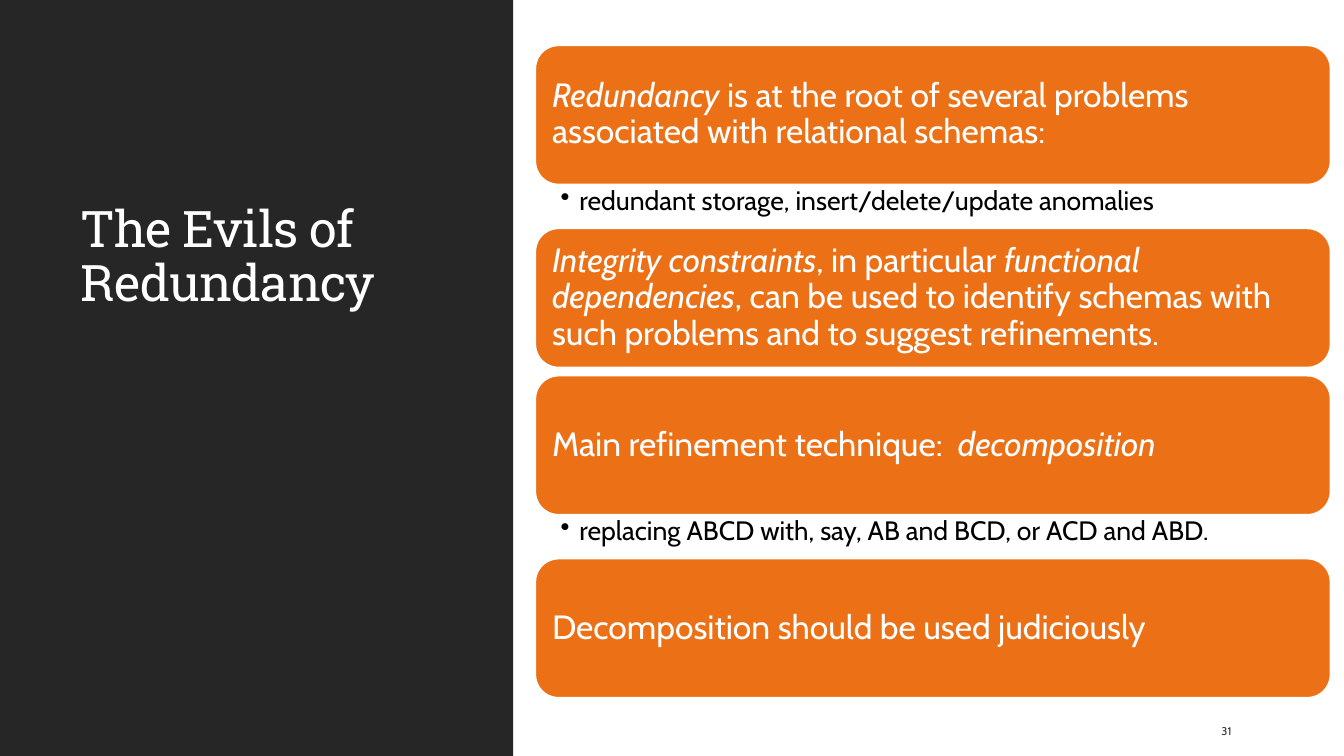
"""Build the slide on the evils of redundancy."""
from lxml import etree
from pptx import Presentation
from pptx.dml.color import RGBColor
from pptx.enum.shapes import MSO_SHAPE as Preset
from pptx.enum.text import MSO_ANCHOR as Anchor, PP_ALIGN as Align
from pptx.oxml.ns import qn
from pptx.util import Pt

WHITE = RGBColor(0xFF, 0xFF, 0xFF)
BLACK = RGBColor(0x00, 0x00, 0x00)
CHARCOAL = RGBColor(0x26, 0x26, 0x26)
ORANGE = RGBColor(0xEC, 0x70, 0x16)
BROWN = RGBColor(0x39, 0x30, 0x2A)

HEADING_FONT = "Roboto Slab"
BODY_FONT = "Cabin"

CARD_LEFT, CARD_TOP = 382.4, 32.4
CARD_WIDTH, CARD_HEIGHT = 568, 99.4
NOTE_HEIGHT, CARD_GAP = 31.3, 5.8

POINTS = [
    (
        [
            ("Redundancy", True),
            (" is at the root of several problems associated with relational schemas:", False),
        ],
        "redundant storage, insert/delete/update anomalies",
    ),
    (
        [
            ("Integrity constraints", True),
            (", in particular ", False),
            ("functional dependencies", True),
            (", can be used to identify schemas with such problems and to suggest refinements.", False),
        ],
        None,
    ),
    (
        [("Main refinement technique:  ", False), ("decomposition", True)],
        "replacing ABCD with, say, AB and BCD, or ACD and ABD.",
    ),
    ([("Decomposition should be used judiciously", False)], None),
]


def set_frame(frame, anchor, insets):
    """Wrap a text frame, anchor it and set its left, top, right and bottom insets."""
    frame.word_wrap = True
    frame.vertical_anchor = anchor
    frame.margin_left, frame.margin_top, frame.margin_right, frame.margin_bottom = map(Pt, insets)


def style(paragraph, font_name, size, color, spacing=0.9):
    """Left-align a paragraph and set its line spacing and font."""
    paragraph.alignment = Align.LEFT
    paragraph.line_spacing = spacing
    paragraph.font.name = font_name
    paragraph.font.size = Pt(size)
    paragraph.font.color.rgb = color


def add_text(slide, box, anchor, insets):
    """Add a text box and return its first paragraph."""
    frame = slide.shapes.add_textbox(*map(Pt, box)).text_frame
    set_frame(frame, anchor, insets)
    return frame.paragraphs[0]


def add_block(slide, preset, box, fill):
    """Add a filled preset shape without outline or shadow."""
    block = slide.shapes.add_shape(preset, *map(Pt, box))
    block.shadow.inherit = False
    block.fill.solid()
    block.fill.fore_color.rgb = fill
    block.line.fill.background()
    return block


def add_title(slide, title):
    """Add the slide title with slightly tightened letters."""
    paragraph = add_text(slide, (50.4, 61.9, 277.2, 164.9), Anchor.BOTTOM, (7.2, 3.6, 7.2, 3.6))
    run = paragraph.add_run()
    run.text = title
    run._r.get_or_add_rPr().set("spc", "-50")
    style(paragraph, HEADING_FONT, 36, WHITE)


def add_card(slide, top, phrases):
    """Add a rounded card whose phrases may be italic."""
    card = add_block(slide, Preset.ROUNDED_RECTANGLE, (CARD_LEFT, top, CARD_WIDTH, CARD_HEIGHT), ORANGE)
    card.line.color.rgb = WHITE
    card.line.width = Pt(1.25)
    set_frame(card.text_frame, Anchor.MIDDLE, (7.2, 7.2, 7.2, 7.2))
    paragraph = card.text_frame.paragraphs[0]
    for phrase, italic in phrases:
        run = paragraph.add_run()
        run.text = phrase
        run.font.italic = italic
    style(paragraph, BODY_FONT, 24, WHITE)


def add_note(slide, top, note):
    """Add a bulleted note below a card."""
    box = (CARD_LEFT, top, CARD_WIDTH, NOTE_HEIGHT)
    paragraph = add_text(slide, box, Anchor.TOP, (18, 2.2, 13.7, 2.2))
    paragraph.text = note
    properties = paragraph._p.get_or_add_pPr()
    properties.set("marL", str(Pt(13.5)))
    properties.set("indent", str(Pt(-13.5)))
    etree.SubElement(properties, qn("a:buChar")).set("char", "•")
    style(paragraph, BODY_FONT, 19, BLACK)


def add_page_number(slide, number):
    """Add the page number at the lower right."""
    paragraph = add_text(slide, (865.4, 507.6, 61.2, 28.8), Anchor.MIDDLE, (7.2, 3.6, 7.2, 3.6))
    paragraph.text = number
    style(paragraph, BODY_FONT, 8, BROWN, 1.0)


def main():
    """Build and save the slide."""
    deck = Presentation()
    deck.slide_width, deck.slide_height = Pt(960), Pt(540)
    slide = deck.slides.add_slide(deck.slide_layouts[6])

    add_block(slide, Preset.RECTANGLE, (0, 0, 366.5, 540), CHARCOAL)
    add_title(slide, "The Evils of Redundancy")
    top = CARD_TOP
    for phrases, note in POINTS:
        add_card(slide, top, phrases)
        top += CARD_HEIGHT
        if note:
            add_note(slide, top, note)
        top += NOTE_HEIGHT if note else CARD_GAP
    add_page_number(slide, "31")

    deck.save("out.pptx")


if __name__ == "__main__":
    main()
